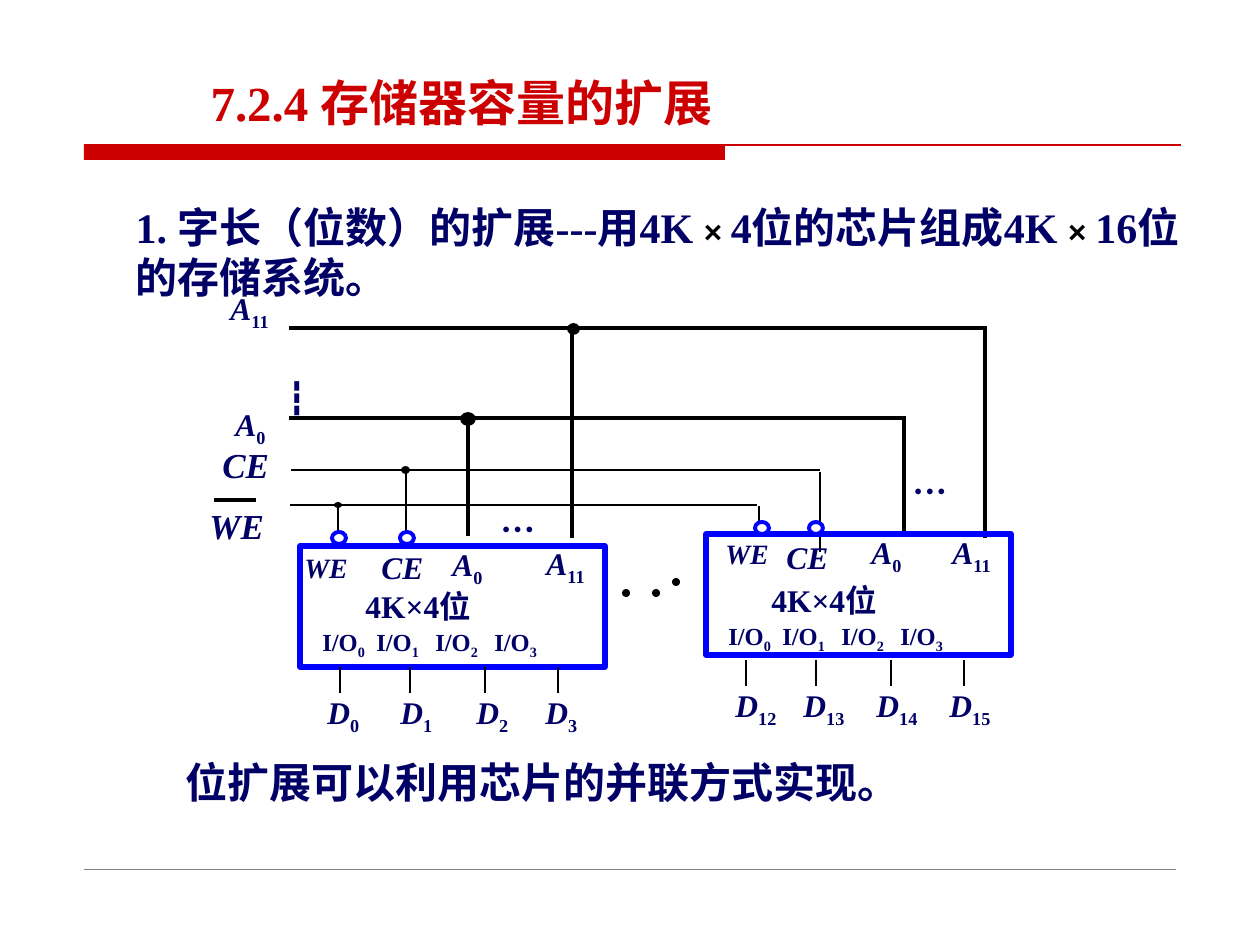
import pptx
import pptx.util
import pptx.dml.color
import pptx.enum.shapes
import pptx.enum.text
import pptx.oxml
import pptx.oxml.ns

PX = 914400 / 126
NAVY, RED, BLUE, BLACK, WHITE, GREY = (
    "000066", "CC0000", "0000FF", "000000", "FFFFFF", "808080")
SHAPE = pptx.enum.shapes.MSO_SHAPE


def px(n):
    return pptx.util.Emu(round(n * PX))


def rgb(code):
    return pptx.dml.color.RGBColor.from_string(code)


def set_all(obj, values):
    for name, value in values.items():
        setattr(obj, name, value)


def add_run(p, text, size, color=NAVY, font="Times New Roman", italic=False, sub=False):
    r = p.add_run()
    r.text = text
    set_all(r.font, {"size": pptx.util.Pt(size), "name": font,
                     "bold": True, "italic": italic})
    r.font.color.rgb = rgb(color)
    if sub:
        r._r.get_or_add_rPr().set("baseline", "-25000")


def label(s, x, y, w, h, text, size, italic=False):
    """Text box; the part after an underscore becomes a subscript."""
    tf = s.shapes.add_textbox(px(x), px(y), px(w), px(h)).text_frame
    tf.word_wrap = True
    base, _, index = text.partition("_")
    add_run(tf.paragraphs[0], base, size, italic=italic)
    if index:
        add_run(tf.paragraphs[0], index, size, sub=True)


def line(s, x1, y1, x2, y2, width, color=BLACK):
    c = s.shapes.add_connector(pptx.enum.shapes.MSO_CONNECTOR.STRAIGHT,
                               px(x1), px(y1), px(x2), px(y2))
    c.line.color.rgb = rgb(color)
    c.line.width = pptx.util.Pt(width)
    c._element.spPr.append(pptx.oxml.parse_xml(
        "<a:effectLst %s/>" % pptx.oxml.ns.nsdecls("a")))


def shape(s, kind, x, y, w, h, fill=None, color=None, width=1):
    sp = s.shapes.add_shape(kind, px(x), px(y), px(w), px(h))
    sp.shadow.inherit = False
    if fill:
        sp.fill.solid()
        sp.fill.fore_color.rgb = rgb(fill)
    else:
        sp.fill.background()
    if color:
        sp.line.color.rgb = rgb(color)
        sp.line.width = pptx.util.Pt(width)
    else:
        sp.line.fill.background()


def placeholder(sp, x, y, w, h, anchor, runs):
    set_all(sp, {"left": px(x), "top": px(y), "width": px(w), "height": px(h)})
    tf = sp.text_frame
    set_all(tf, {"word_wrap": True, "vertical_anchor": anchor,
                 "auto_size": pptx.enum.text.MSO_AUTO_SIZE.NONE})
    p = tf.paragraphs[0]
    pPr = p._p.get_or_add_pPr()
    pPr.set("marL", "0")
    pPr.set("indent", "0")
    pPr.append(pptx.oxml.parse_xml("<a:buNone %s/>" % pptx.oxml.ns.nsdecls("a")))
    set_all(p, {"alignment": pptx.enum.text.PP_ALIGN.LEFT,
                "space_before": pptx.util.Pt(0)})
    for run in runs:
        add_run(p, *run)


def headings(s):
    shape(s, SHAPE.RECTANGLE, 84, 145, 641, 15, RED)
    line(s, 84, 145, 1181, 145, 0.75, RED)
    line(s, 84, 869, 1176, 869, 0.25, GREY)
    title, body = s.placeholders
    anchor = pptx.enum.text.MSO_ANCHOR
    placeholder(title, 198, 66, 931, 71, anchor.MIDDLE,
                [("7.2.4 存储器容量的扩展", 28, RED)])
    times = ("× ", 18, BLACK, "Arial")
    placeholder(body, 123, 195, 1071, 113, anchor.TOP, [
        ("1. 字长（位数）的扩展---用4K ", 24), times,
        ("4位的芯片组成4K ", 24), times, ("16位的存储系统。", 24)])
    label(s, 173, 750, 876, 63, "位扩展可以利用芯片的并联方式实现。", 24)


def buses(s):
    # Address, chip enable and write enable wires: x1, y1, x2, y2
    for wire in [(289, 328, 987, 328), (572, 328, 572, 538), (985, 328, 985, 538),
                 (289, 418, 904, 418), (468, 418, 468, 536), (904, 416, 904, 536)]:
        line(s, *wire, 2.25)
    for wire in [(291, 470, 820, 470), (406, 472, 406, 549), (820, 472, 820, 552),
                 (290, 505, 757, 505), (338, 506, 338, 537), (759, 506, 759, 537)]:
        line(s, *wire, 1.5)
    # Junctions
    for x, y, w, h in [(568, 324, 11, 10), (461, 413, 14, 12),
                       (402, 467, 7, 6), (335, 503, 6, 4)]:
        shape(s, SHAPE.OVAL, x, y, w, h, BLACK, BLACK)
    # Signal names
    label(s, 218, 283, 83, 58, "A_11", 18, True)
    label(s, 275, 372, 55, 38, "┇", 18)
    label(s, 223, 399, 83, 67, "A_0", 18, True)
    label(s, 210, 437, 73, 44, "CE", 20, True)
    label(s, 197, 498, 92, 55, "WE", 20, True)
    line(s, 214, 500, 256, 500, 2.25)


def chip(s, x, y, pins, bubbles, body_y, leg_y, first_bit, bit_xs):
    shape(s, SHAPE.RECTANGLE, x, y, 305, 121, color=BLUE, width=3)
    for bx, by in bubbles:
        shape(s, SHAPE.OVAL, bx, by, 14, 12, WHITE, BLUE, 2.25)
    for text, px_left, top, size in pins:
        label(s, px_left, top, 83, 50, text, size, True)
    label(s, x + 53, body_y, 197, 44, "4K×4位", 18)
    for i, (io_dx, leg_dx, bit_x) in enumerate(zip(
            (10, 64, 123, 182), (40, 110, 185, 258), bit_xs)):
        label(s, x + io_dx, body_y + 40, 75, 37, f"I/O_{i}", 14)
        line(s, x + leg_dx, leg_y, x + leg_dx, leg_y + 26, 1.5)
        label(s, bit_x, leg_y + 20, 83, 48, f"D_{first_bit + i}", 18, True)


def main():
    prs = pptx.Presentation()
    set_all(prs, {"slide_width": px(1260), "slide_height": px(945)})
    s = prs.slides.add_slide(prs.slide_layouts[1])
    headings(s)
    buses(s)

    # First and last chip
    chip(s, 300, 546,
         [("WE", 292, 544, 16), ("CE", 369, 542, 18),
          ("A_0", 440, 539, 18), ("A_11", 534, 538, 18)],
         [(332, 532), (400, 532)], 581, 667, 0, (315, 388, 464, 533))
    chip(s, 706, 534,
         [("WE", 713, 530, 16), ("CE", 774, 532, 18),
          ("A_0", 859, 527, 18), ("A_11", 940, 527, 18)],
         [(755, 522), (809, 522)], 575, 660, 12, (723, 791, 864, 937))

    # Omitted pins and chips
    for x, y in [(488, 500), (900, 462)]:
        label(s, x, y, 63, 32, "···", 20)
    for x, y in [(624, 591), (654, 591), (674, 580)]:
        shape(s, SHAPE.OVAL, x, y, 4, 4, BLACK, BLACK, 2.25)
    prs.save("out.pptx")


if __name__ == "__main__":
    main()
